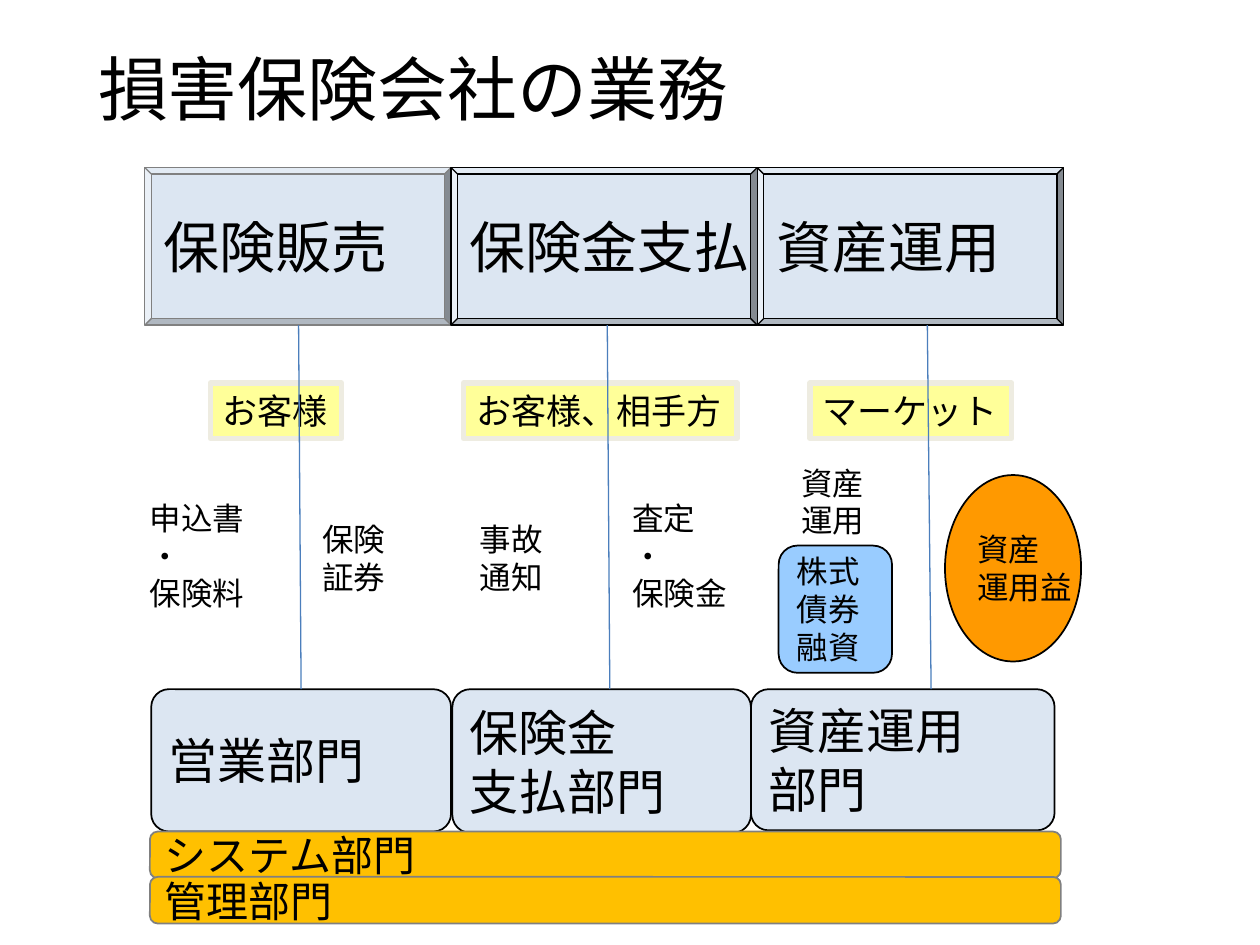
from pptx import Presentation
from pptx.dml.color import RGBColor
from pptx.enum.shapes import MSO_CONNECTOR, MSO_SHAPE
from pptx.enum.text import MSO_ANCHOR, MSO_AUTO_SIZE, PP_ALIGN
from pptx.oxml.ns import qn
from pptx.util import Inches, Pt
from lxml.etree import SubElement

BLACK = RGBColor(0, 0, 0)
GREY = RGBColor(0x80, 0x80, 0x80)
PALE = RGBColor(0xDC, 0xE6, 0xF2)
GOLD = RGBColor(0xFF, 0xC0, 0x00)
YELLOW = RGBColor(0xFF, 0xFF, 0x99)
CREAM = RGBColor(0xEE, 0xEC, 0xE1)
ORANGE = RGBColor(0xFF, 0x99, 0x00)
SKY = RGBColor(0x99, 0xCC, 0xFF)
BLUE = RGBColor(0x4B, 0x7E, 0xBC)
SANS, CJK = "Calibri", "Noto Sans CJK JP"

# Content
TITLE = "損害保険会社の業務"
TASKS = [("保険販売", GREY), ("保険金支払", BLACK), ("資産運用", BLACK)]
# Text, left, width
PARTIES = [("お客様", 1.67, 1.04), ("お客様、相手方", 3.68, 2.17),
           ("マーケット", 6.43, 1.6)]
# Text, left, width, height
UNITS = [("営業部門", 1.2, 2.38, 1.13), ("保険金\n支払部門", 3.59, 2.37, 1.14),
         ("資産運用\n部門", 5.96, 2.41, 1.12)]
SHARED = ["システム部門", "管理部門"]
# Text, left, top, width, height
NOTES = [("申込書\n・\n保険料", 1.09, 3.91, 0.96, 1),
         ("保険\n証券", 2.46, 4.08, 0.7, 0.7),
         ("事故\n通知", 3.71, 4.08, 0.7, 0.7),
         ("査定\n・\n保険金", 4.92, 3.91, 0.96, 1),
         ("資産\n運用", 6.26, 3.63, 0.7, 0.7)]
LINKS = [(2.37, 2.39), (4.82, 4.84), (7.36, 7.39)]
TASK_TOP, TASK_H, TASK_W = 1.33, 1.25, 2.43
UNIT_TOP = 5.47

deck = Presentation()
deck.slide_width, deck.slide_height = Inches(10), Inches(7.5)
slide = deck.slides.add_slide(deck.slide_layouts[6])
shapes = slide.shapes


def write(shape, text, size=18, font=SANS, anchor=MSO_ANCHOR.MIDDLE,
          wrap=False, grow=False):
    frame = shape.text_frame
    frame.text = text
    frame.word_wrap = wrap
    frame.vertical_anchor = anchor
    frame.auto_size = MSO_AUTO_SIZE.SHAPE_TO_FIT_TEXT if grow else MSO_AUTO_SIZE.NONE
    for para in frame.paragraphs:
        para.alignment = PP_ALIGN.LEFT
        for run in para.runs:
            run.font.name = font
            run.font.size = Pt(size)
            run.font.color.rgb = BLACK


def label(text, *box, **style):
    write(shapes.add_textbox(*map(Inches, box)), text, **style)


def block(kind, text, *box, fill=PALE, line=BLACK, width=1, adj=None, **style):
    shape = shapes.add_shape(kind, *map(Inches, box))
    shape.shadow.inherit = False
    shape.fill.solid()
    shape.fill.fore_color.rgb = fill
    shape.line.color.rgb = line
    shape.line.width = Pt(width)
    if adj is not None:
        shape.adjustments[0] = adj
    write(shape, text, **style)


label(TITLE, 0.68, 0.36, 8.5, 0.67, size=40, wrap=True)

# Departments
for text, left, wide, high in UNITS:
    block(MSO_SHAPE.ROUNDED_RECTANGLE, text, left, UNIT_TOP, wide, high,
          adj=0.125, size=28, font=CJK)

# Shared departments
for row, text in enumerate(SHARED):
    block(MSO_SHAPE.ROUNDED_RECTANGLE, text, 1.19, 6.6 + row * 0.36, 7.23, 0.37,
          fill=GOLD, line=GREY, adj=0.167, size=24)

# Exchanged items
for text, *box in NOTES:
    label(text, *box, anchor=MSO_ANCHOR.TOP, grow=True)
block(MSO_SHAPE.OVAL, "資産\n運用益", 7.5, 3.77, 1.08, 1.48, fill=ORANGE)
block(MSO_SHAPE.ROUNDED_RECTANGLE, "株式\n債券\n融資", 6.18, 4.33, 0.9, 1.01,
      fill=SKY, adj=0.167)

# Counterparties
for text, left, wide in PARTIES:
    block(MSO_SHAPE.RECTANGLE, text, left, 3.04, wide, 0.44,
          fill=YELLOW, line=CREAM, width=3, size=20, grow=True)

# Tasks
for col, (text, line) in enumerate(TASKS):
    block(MSO_SHAPE.BEVEL, text, 1.15 + col * TASK_W, TASK_TOP, TASK_W, TASK_H,
          line=line, width=0.75, adj=0.041, size=32)

# Links from tasks to departments
for start, end in LINKS:
    link = shapes.add_connector(
        MSO_CONNECTOR.STRAIGHT, Inches(start), Inches(TASK_TOP + TASK_H),
        Inches(end), Inches(UNIT_TOP))
    link.line.color.rgb = BLUE
    link.line.width = Pt(0.75)
    SubElement(link._element.spPr, qn("a:effectLst"))

deck.save("out.pptx")
